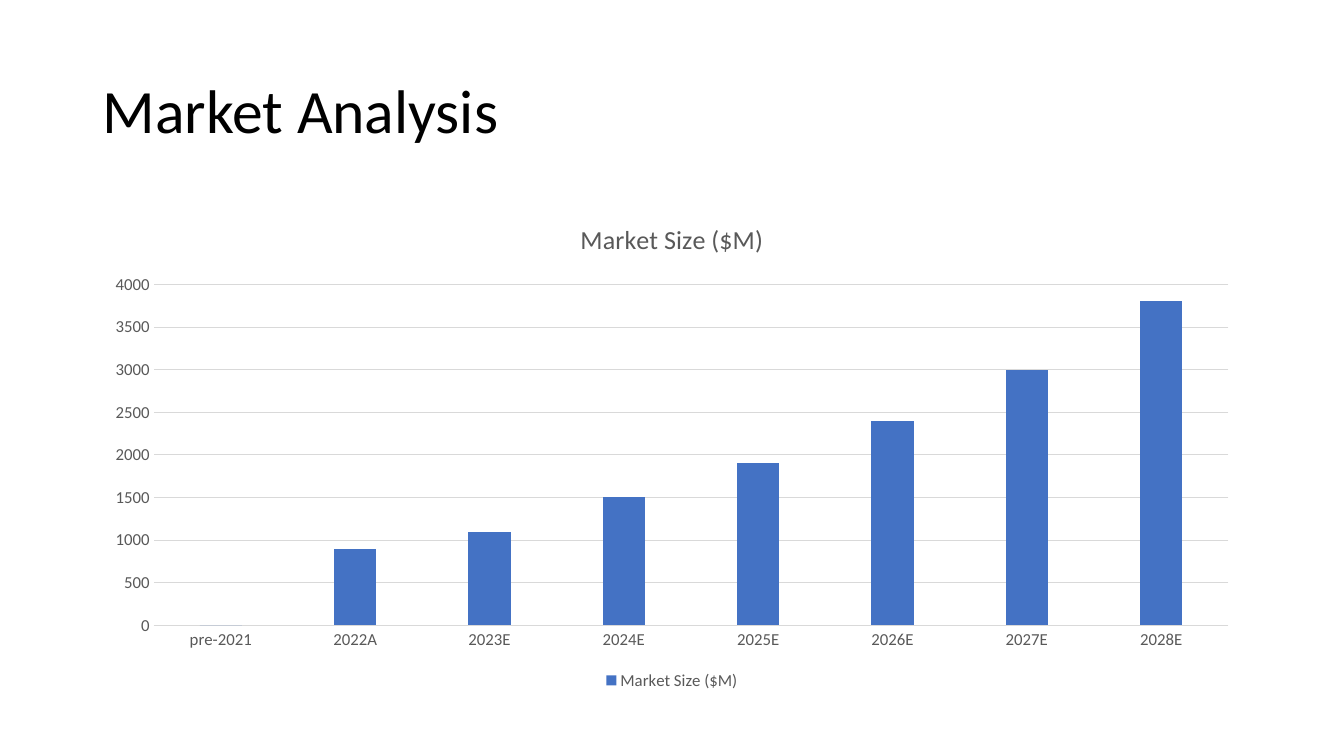
from dataclasses import dataclass

from pptx import Presentation
from pptx.chart.data import CategoryChartData
from pptx.dml.color import RGBColor
from pptx.enum.chart import XL_CHART_TYPE, XL_LEGEND_POSITION, XL_TICK_MARK
from pptx.enum.text import MSO_ANCHOR, PP_ALIGN
from pptx.util import Cm, Pt


@dataclass(frozen=True)
class Theme:
    font: str = "Calibri"
    black: RGBColor = RGBColor(0x00, 0x00, 0x00)
    gray: RGBColor = RGBColor(0x59, 0x59, 0x59)
    grid: RGBColor = RGBColor(0xD9, 0xD9, 0xD9)
    bar: RGBColor = RGBColor(0x44, 0x72, 0xC4)
    title_size: Pt = Pt(44)
    chart_title_size: Pt = Pt(18.6)
    label_size: Pt = Pt(12)
    line_width: Pt = Pt(0.75)


theme = Theme()


def set_font(font, size, color):
    font.name = theme.font
    font.size = size
    font.bold = False
    font.color.rgb = color


def set_line(line):
    line.color.rgb = theme.grid
    line.width = theme.line_width


prs = Presentation()
prs.slide_width, prs.slide_height = Cm(33.87), Cm(19.05)
s = prs.slides.add_slide(prs.slide_layouts[5])  # Title Only
left, width = Cm(2.33), Cm(29.21)

# Title
title = s.shapes.title
title.left, title.top, title.width, title.height = left, Cm(1.01), width, Cm(3.68)
tf = title.text_frame
tf.text = "Market Analysis"
tf.vertical_anchor = MSO_ANCHOR.MIDDLE
p = tf.paragraphs[0]
p.alignment = PP_ALIGN.LEFT
p.line_spacing = 0.9
set_font(p.font, theme.title_size, theme.black)

# Market size chart
market_size = {
    "pre-2021": 0,
    "2022A": 900,
    "2023E": 1100,
    "2024E": 1500,
    "2025E": 1900,
    "2026E": 2400,
    "2027E": 3000,
    "2028E": 3800,
}
data = CategoryChartData()
data.categories = list(market_size)
data.add_series("Market Size ($M)", list(market_size.values()))
chart = s.shapes.add_chart(
    XL_CHART_TYPE.COLUMN_CLUSTERED, left, Cm(5.07), width, Cm(12.43), data
).chart
set_font(chart.font, theme.label_size, theme.gray)

# Chart title and legend
chart.has_title = True
tf = chart.chart_title.text_frame
tf.text = "Market Size ($M)"
set_font(tf.paragraphs[0].font, theme.chart_title_size, theme.gray)
chart.chart_title.include_in_layout = False
chart.has_legend = True
chart.legend.position = XL_LEGEND_POSITION.BOTTOM
chart.legend.include_in_layout = False
set_font(chart.legend.font, theme.label_size, theme.gray)

# Columns
plot = chart.plots[0]
plot.gap_width = 219
plot.overlap = -27
plot.vary_by_categories = False
fill = plot.series[0].format.fill
fill.solid()
fill.fore_color.rgb = theme.bar

# Axes
for axis in (chart.category_axis, chart.value_axis):
    axis.major_tick_mark = XL_TICK_MARK.NONE
    axis.minor_tick_mark = XL_TICK_MARK.NONE
    set_font(axis.tick_labels.font, theme.label_size, theme.gray)
set_line(chart.category_axis.format.line)
value_axis = chart.value_axis
value_axis.minimum_scale = 0
value_axis.maximum_scale = 4000
value_axis.major_unit = 500
value_axis.format.line.fill.background()
set_line(value_axis.major_gridlines.format.line)

prs.save("out.pptx")
